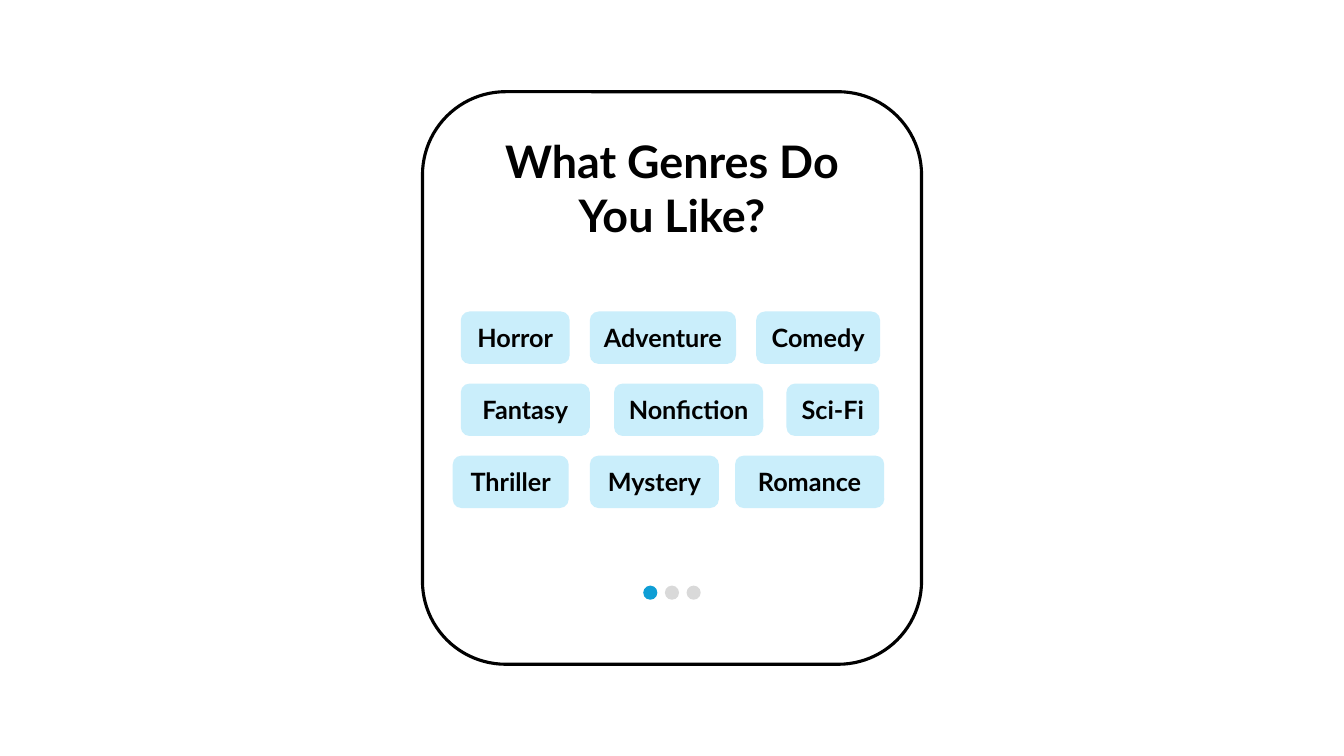
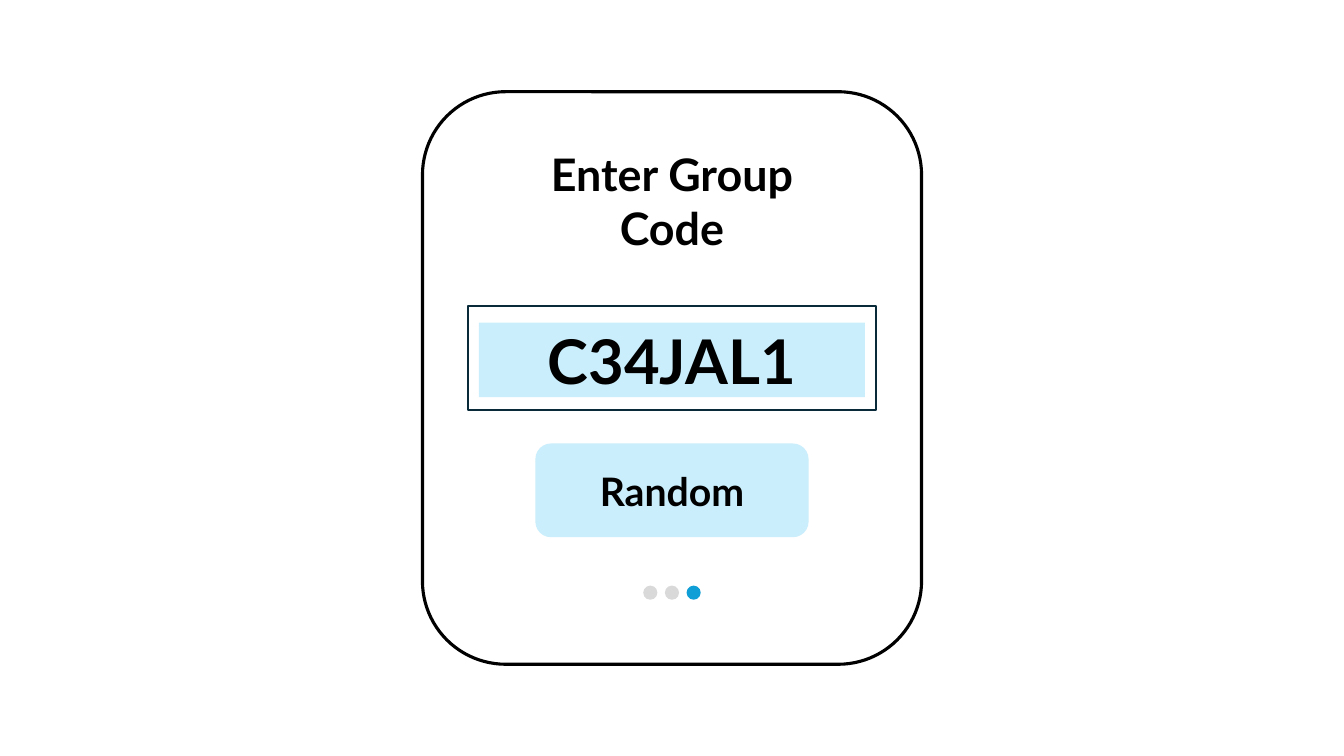
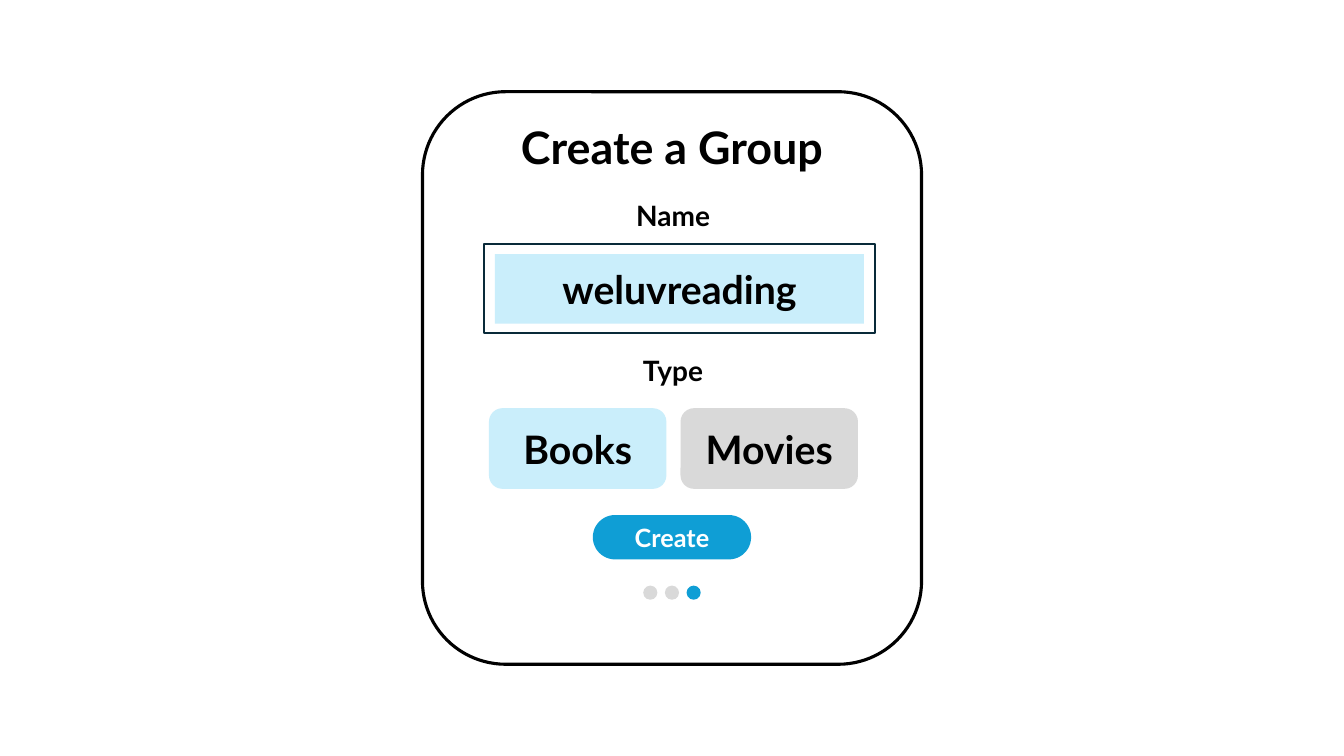
from lxml.etree import SubElement
from pptx import Presentation
from pptx.dml.color import RGBColor
from pptx.enum.shapes import MSO_SHAPE as Form
from pptx.enum.text import MSO_ANCHOR as Anchor, PP_ALIGN as Align
from pptx.oxml.ns import qn
from pptx.util import Inches, Pt

FONT = "Lato"
BLACK, WHITE, NAVY = "000000", "FFFFFF", "092A39"
BLUE, PALE, GREY = "0F9ED5", "CAEEFB", "D9D9D9"
CARD = (4.19, 0.91, 4.95, 5.68)
CHIPS = [
    [("Horror", 0.38, 1.08), ("Adventure", 1.66, 1.45), ("Comedy", 3.31, 1.23)],
    [("Fantasy", 0.38, 1.28), ("Nonfiction", 1.9, 1.48), ("Sci-Fi", 3.61, 0.92)],
    [("Thriller", 0.3, 1.15), ("Mystery", 1.66, 1.28), ("Romance", 3.1, 1.48)],
]


def color(code):
    return RGBColor.from_string(code)


def within(box, x, y, w, h):
    return box[0] + x, box[1] + y, w, h


def write(shape, text, size, ink=BLACK):
    para = shape.text_frame.paragraphs[0]
    para.text = text
    para.alignment = Align.CENTER
    font = para.font
    font.name, font.size, font.bold = FONT, Pt(size), True
    font.color.rgb = color(ink)


def draw(shapes, form, box, fill, line=None, width=1):
    shape = shapes.add_shape(form, *map(Inches, box))
    shape.shadow.inherit = False
    shape.fill.solid()
    shape.fill.fore_color.rgb = color(fill)
    if line:
        shape.line.color.rgb = color(line)
        shape.line.width = Pt(width)
    else:
        shape.line.fill.background()
    return shape


def button(slide, box, text, size, fill=PALE, ink=BLACK, form=Form.ROUNDED_RECTANGLE):
    shape = draw(slide.shapes, form, box, fill)
    shape.text_frame.word_wrap = False
    shape.text_frame.vertical_anchor = Anchor.MIDDLE
    write(shape, text, size, ink)
    return shape


def label(slide, box, text, size):
    shape = slide.shapes.add_textbox(*map(Inches, box))
    frame = shape.text_frame
    frame.word_wrap = True
    frame.margin_left = frame.margin_right = Inches(0.15)
    write(shape, text, size)


def field(slide, box, top, high, text, size):
    draw(slide.shapes, Form.RECTANGLE, box, WHITE, NAVY, 1.5)
    inner = within(box, 0.11, top, box[2] - 0.22, high)
    button(slide, inner, text, size, form=Form.RECTANGLE)


def dots(slide, box, active):
    group = slide.shapes.add_group_shape()
    for i in range(3):
        spot = within(box, i * 0.215, 0, 0.14, 0.14)
        draw(group.shapes, Form.OVAL, spot, BLUE if i == active else GREY)


def card(deck, box, title, top, high, active):
    slide = deck.slides.add_slide(deck.slide_layouts[6])
    panel = draw(slide.shapes, Form.ROUNDED_RECTANGLE, box, WHITE, BLACK, 2.25)
    tint = panel.fill._xPr.find(qn("a:solidFill"))[0]
    SubElement(tint, qn("a:alpha"), val="36000")
    label(slide, within(box, 0.62, top, 3.71, high), title, 32)
    dots(slide, within(box, 2.19, 4.9, 0.57, 0.14), active)
    return slide


def genres(deck, box):
    slide = card(deck, box, "What Genres Do You Like?", 0.37, 1.18, 0)
    for i, row in enumerate(CHIPS):
        for text, left, width in row:
            spot = within(box, left, 2.18 + i * 0.715, width, 0.52)
            button(slide, spot, text, 18)


def join(deck, box):
    slide = card(deck, box, "Enter Group Code", 0.5, 1.18, 2)
    field(slide, within(box, 0.45, 2.13, 4.05, 1.03), 0.16, 0.74, "C34JAL1", 44)
    button(slide, within(box, 1.12, 3.49, 2.71, 0.93), "Random", 28)


def create(deck, box):
    slide = card(deck, box, "Create a Group", 0.23, 0.64, 2)
    for text, top in (("Name", 1.01), ("Type", 2.55)):
        label(slide, within(box, 0.63, top, 3.71, 0.44), text, 20)
    field(slide, within(box, 0.61, 1.51, 3.88, 0.88), 0.1, 0.69, "weluvreading", 28)
    for i, (text, fill) in enumerate((("Books", PALE), ("Movies", GREY))):
        button(slide, within(box, 0.66 + i * 1.9, 3.14, 1.76, 0.8), text, 28, fill)
    pill = button(slide, within(box, 1.69, 4.2, 1.57, 0.44), "Create", 18, BLUE, WHITE)
    pill.adjustments[0] = 0.5


def main():
    deck = Presentation()
    deck.slide_width, deck.slide_height = Inches(13.33), Inches(7.5)
    for build in (genres, join, create):
        build(deck, CARD)
    deck.save("out.pptx")


if __name__ == "__main__":
    main()
